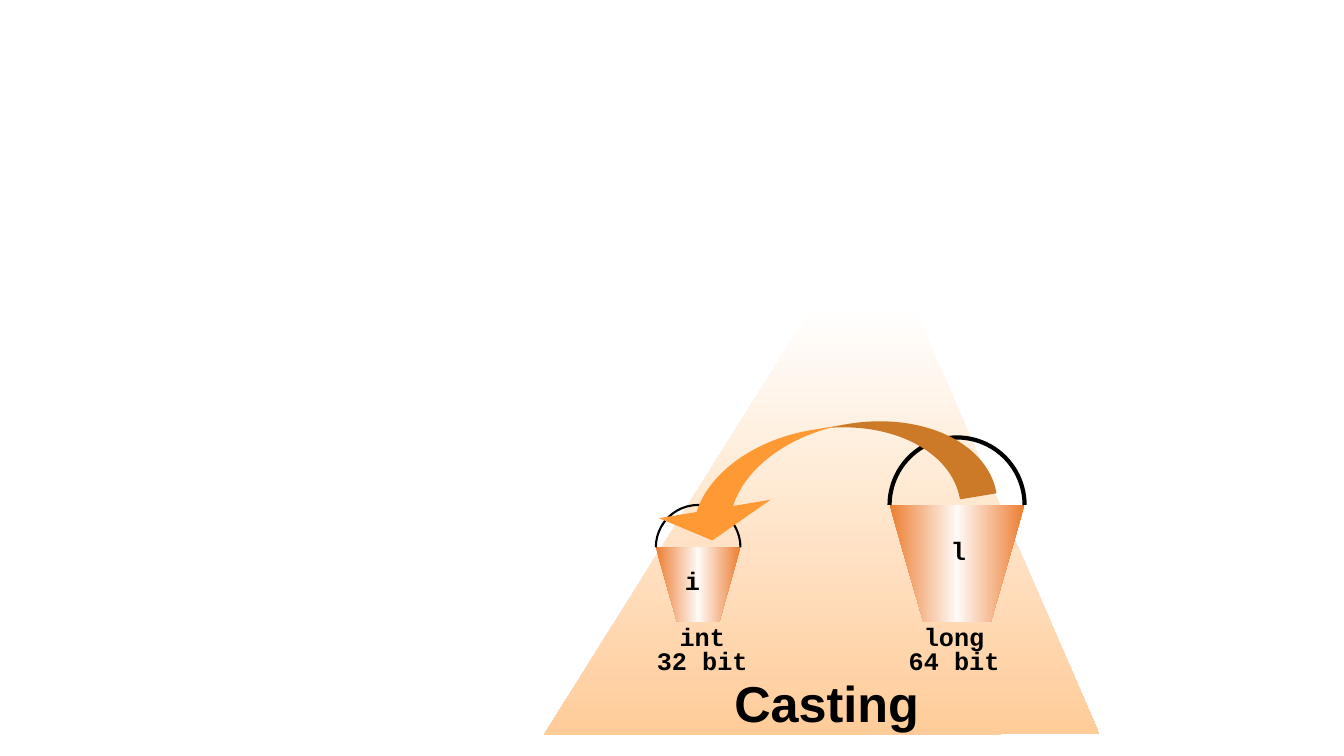
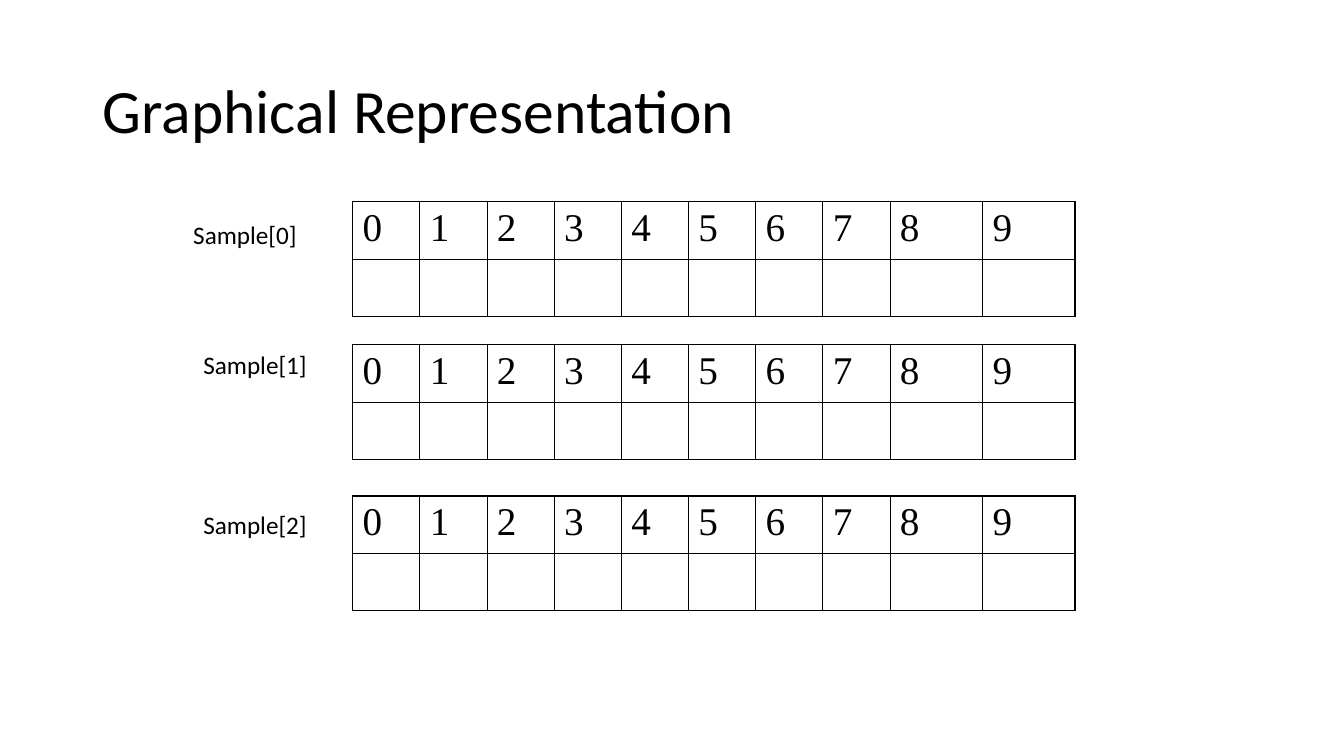
from lxml.etree import SubElement
from pptx import Presentation
from pptx.dml.color import RGBColor
from pptx.enum.shapes import MSO_SHAPE
from pptx.enum.text import MSO_ANCHOR, MSO_AUTO_SIZE, PP_ALIGN
from pptx.oxml import parse_xml
from pptx.oxml.ns import nsdecls, qn
from pptx.util import Inches, Pt

COLORS = {
    "ink": "000000",
    "white": "FFFFFF",
    "beam": "FFCC99",
    "pail": "ED7D31",
    "shine": "FEFAF7",
    "arrow": "FF9933",
}
BLANK, TITLE_ONLY = 6, 5
THICK, THIN = Pt(1.08), Pt(0.45)


def rgb(name):
    return RGBColor.from_string(COLORS[name])


def blend(shape, names, angle):
    """Fill the shape with evenly spaced gradient stops."""
    step = 100000 // (len(names) - 1)
    stops = "".join(
        f'<a:gs pos="{i * step}"><a:srgbClr val="{COLORS[name]}"/></a:gs>'
        for i, name in enumerate(names))
    shape.fill.background()
    props = shape._element.spPr
    props.replace(props.find(qn("a:noFill")), parse_xml(
        f'<a:gradFill {nsdecls("a")} rotWithShape="1"><a:gsLst>{stops}</a:gsLst>'
        f'<a:lin ang="{angle * 60000}" scaled="0"/></a:gradFill>'))


def edge(cell, side, width):
    """Draw one border; sides must come in the order L, R, T, B."""
    line = SubElement(cell._tc.get_or_add_tcPr(), qn(f"a:ln{side}"), w=str(width))
    fill = SubElement(line, qn("a:solidFill"))
    SubElement(fill, qn("a:srgbClr"), val=COLORS["ink"])


class Deck:
    def __init__(self):
        self.prs = Presentation()
        self.prs.slide_width = Inches(13.34)
        self.prs.slide_height = Inches(7.5)
        self.slide = None

    def page(self, layout):
        self.slide = self.prs.slides.add_slide(self.prs.slide_layouts[layout])

    def style(self, para, font, size, bold=False):
        for run in para.runs:
            run.font.name = font
            run.font.size = Pt(size)
            run.font.bold = bold
            run.font.color.rgb = rgb("ink")

    def title(self, text):
        shape = self.slide.shapes.title
        shape.left, shape.top = Inches(0.92), Inches(0.4)
        shape.width, shape.height = Inches(11.5), Inches(1.45)
        frame = shape.text_frame
        frame.text = text
        frame.vertical_anchor = MSO_ANCHOR.MIDDLE
        para = frame.paragraphs[0]
        para.alignment = PP_ALIGN.LEFT
        para.line_spacing = 0.9
        self.style(para, "Calibri", 44)

    def text(self, text, x, y, w, h, font, size=18, bold=False,
             align=PP_ALIGN.LEFT, space=None, wrap=False):
        box = self.slide.shapes.add_textbox(Inches(x), Inches(y), Inches(w), Inches(h))
        frame = box.text_frame
        frame.text = text
        frame.word_wrap = wrap
        frame.auto_size = MSO_AUTO_SIZE.SHAPE_TO_FIT_TEXT
        for para in frame.paragraphs:
            para.alignment = align
            para.line_spacing = space
            self.style(para, font, size, bold)

    def outline(self, points, names, angle):
        """Draw a closed, borderless polygon with a gradient."""
        spots = [(Inches(x), Inches(y)) for x, y in points]
        pen = self.slide.shapes.build_freeform(*spots[0])
        pen.add_line_segments(spots[1:], close=True)
        shape = pen.convert_to_shape()
        shape.shadow.inherit = False
        blend(shape, names, angle)
        shape.line.fill.background()

    def bucket(self, x, y, w, line):
        base, inset = 6.17, w / 4
        self.outline([(x, y), (x + inset, base), (x + w - inset, base), (x + w, y)],
                     ["pail", "shine", "pail"], 0)
        hoop = self.slide.shapes.add_shape(
            MSO_SHAPE.ARC, Inches(x), Inches(y - w / 2), Inches(w), Inches(w))
        hoop.adjustments[0], hoop.adjustments[1] = 108, 0
        hoop.shadow.inherit = False
        hoop.fill.background()
        hoop.line.color.rgb = rgb("ink")
        hoop.line.width = Pt(line)

    def code(self, text, x, y, w, h, **look):
        self.text(text, x, y, w, h, "Courier New", bold=True, **look)

    def arrow(self, x, y, w, h, turn):
        """Draw a curved arrow that points to the left."""
        shape = self.slide.shapes.add_shape(
            MSO_SHAPE.CURVED_DOWN_ARROW, Inches(x), Inches(y), Inches(w), Inches(h))
        for i, value in enumerate((0.4, 1.22, 0.33)):
            shape.adjustments[i] = value
        shape.rotation = turn
        shape._element.spPr.find(qn("a:xfrm")).set("flipH", "1")
        shape.shadow.inherit = False
        shape.fill.solid()
        shape.fill.fore_color.rgb = rgb("arrow")
        shape.line.fill.background()

    def table(self, x, y, heads, widths, height):
        rows, cols = 2, len(heads)
        table = self.slide.shapes.add_table(
            rows, cols, Inches(x), Inches(y),
            Inches(sum(widths)), Inches(rows * height)).table
        table.first_row = table.horz_banding = False
        for col, width in zip(table.columns, widths):
            col.width = Inches(width)
        for r, row in enumerate(table.rows):
            row.height = Inches(height)
            for c, cell in enumerate(row.cells):
                outer = {"L": c == 0, "R": c == cols - 1,
                         "T": r == 0, "B": r == rows - 1}
                for side, rim in outer.items():
                    edge(cell, side, THICK if rim else THIN)
                cell.fill.background()
                if r == 0:
                    cell.text_frame.text = heads[c]
                    self.style(cell.text_frame.paragraphs[0], "Times New Roman", 28)


def casting(deck):
    deck.page(BLANK)
    deck.outline([(5.4, 7.29), (10.91, 7.28), (9.06, 3.02), (8.09, 3)],
                 ["white", "beam"], 90)
    deck.text("Casting", 5.58, 6.62, 5.25, 0.7, "Arial", 36, True,
              PP_ALIGN.CENTER, wrap=True)
    pails = [
        (8.83, 5.01, 1.34, 3, "l", 9.34, 5.26, "long\n64 bit", 8.92),
        (6.51, 5.43, 0.84, 1.5, "i", 6.7, 5.56, "int\n32 bit", 6.42),
    ]
    for x, y, w, line, name, left, top, kind, start in pails:
        deck.bucket(x, y, w, line)
        deck.code(kind, start, 6.17, 1.1, 0.58, align=PP_ALIGN.CENTER, space=0.8)
        deck.code(name, left, top, 0.35, 0.4)
    deck.arrow(6.42, 4.26, 3.42, 0.92, -9.4)


def arrays(deck):
    deck.page(TITLE_ONLY)
    deck.title("Graphical Representation")
    heads = [str(i) for i in range(10)]
    widths = [2 / 3] * 8 + [0.92] * 2
    spots = [(2, 1.82, 2.13), (3.42, 1.92, 3.42), (4.92, 1.92, 5)]
    for i, (y, left, top) in enumerate(spots):
        deck.table(3.5, y, heads, widths, 0.57)
        deck.text(f"Sample[{i}]", left, top, 1.23, 0.4, "Calibri")


def main():
    deck = Deck()
    casting(deck)
    arrays(deck)
    deck.prs.save("out.pptx")


if __name__ == "__main__":
    main()
